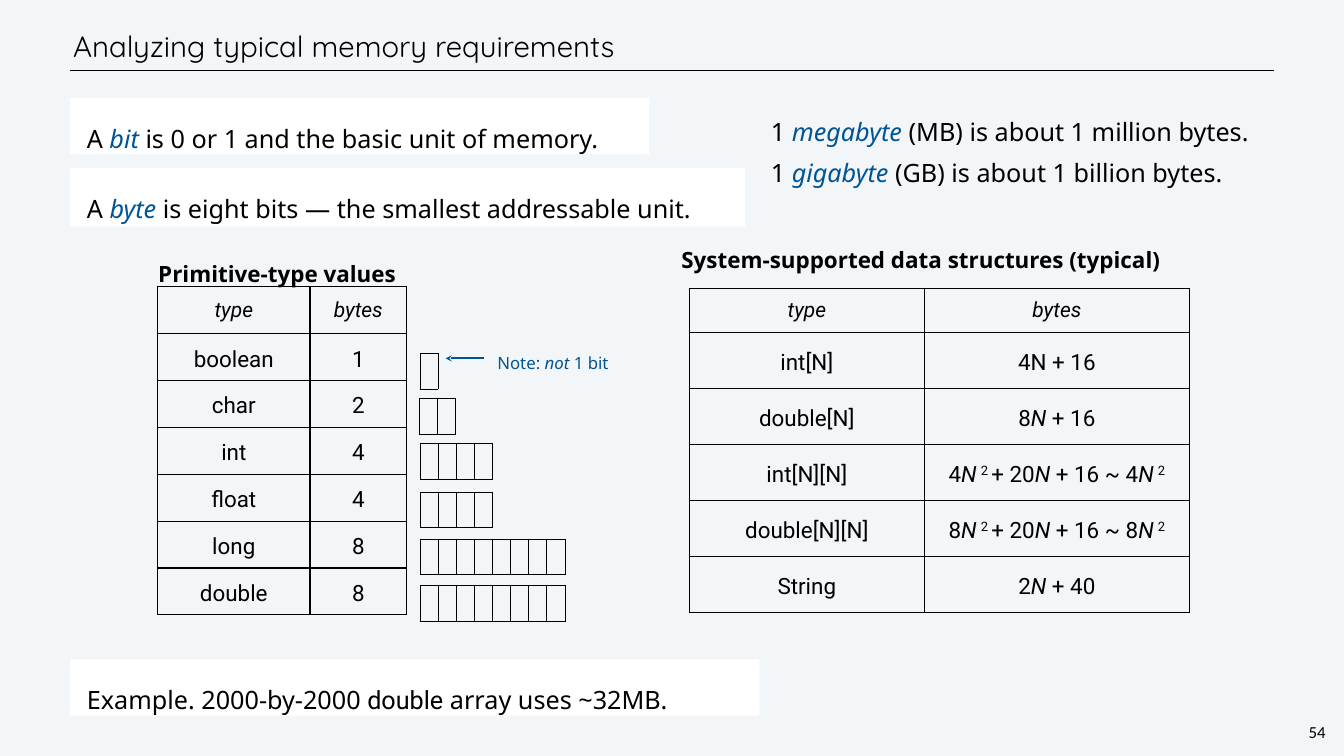
from dataclasses import dataclass
from typing import Any

from lxml import etree
from pptx import Presentation
from pptx import util as u
from pptx.dml import color
from pptx.enum import shapes, text
from pptx.oxml import ns

BLACK, BLUE, WHITE, PALE = "000000", "005493", "FFFFFF", "F3F6F9"
CENTER, MIDDLE = text.PP_ALIGN.CENTER, text.MSO_ANCHOR.MIDDLE
MARKS = {"*": {"i": "1"}, "_": {"i": "1", "spc": "580"}, "^": {"baseline": "32000"}, "`": {}}
HEAD = {"size": 30, "font": "Roboto", "line": 36, "inset": 0.09, "align": CENTER, "anchor": MIDDLE}
CELL = {**HEAD, "size": 32, "line": 44, "inset": 0.12}
BODY = {"size": 36, "font": "Noto Sans", "line": 55, "inset": 1, "accent": BLUE}
CAPTION = {"size": 32, "font": "Noto Sans", "line": 50, "inset": 0.18, "bold": True}
TITLE = {"size": 42, "font": "Quicksand", "line": 50, "inset": 0.18, "anchor": MIDDLE}
NUMBER = {"size": 24, "font": "Calibri", "line": 28, "inset": 0.12, "align": CENTER, "wrap": False}
NOTE = {"size": 24, "font": "Noto Sans", "line": 31, "inset": 0.18, "align": CENTER,
        "wrap": False, "color": BLUE, "accent": BLUE}


def rgb(value):
    """Return the colour for a hex string."""
    return color.RGBColor.from_string(value)


def assign(obj, values):
    """Set every attribute in a dict of format values."""
    for name, value in values.items():
        setattr(obj, name, value)


@dataclass
class Deck:
    """Draws elements on a slide divided into 80 columns and 45 rows."""
    prs: Any
    s: Any = None

    def add_slide(self, background):
        """Start a blank slide with a plain background."""
        self.s = self.prs.slides.add_slide(self.prs.slide_layouts[6])
        self.s.background.fill.solid()
        self.s.background.fill.fore_color.rgb = rgb(background)

    def grid(self, *cells):
        """Convert grid units to lengths."""
        return [u.Emu(round(c * self.prs.slide_width / 80)) for c in cells]

    def margins(self, inset):
        """Return four equal margins as format values."""
        return {f"margin_{side}": self.grid(inset)[0] for side in ("left", "top", "right", "bottom")}

    def add_runs(self, p, content, style):
        """Add runs split at bars, each with an optional leading mark."""
        assign(p, {"alignment": style.get("align"), "line_spacing": u.Pt(style["line"])})
        for part in content.split("|"):
            mark = part[0] if part[0] in MARKS else ""
            r = p.add_run()
            r.text = part[len(mark):]
            assign(r.font, {"size": u.Pt(style["size"]), "bold": style.get("bold"),
                            "name": "Roboto" if mark == "`" else style["font"]})
            tint = style.get("accent") if mark == "*" else None
            r.font.color.rgb = rgb(tint or style.get("color", BLACK))
            for name, value in MARKS.get(mark, {}).items():
                r.font._rPr.set(name, value)

    def text(self, at, content, style, fill=None):
        """Add a line of text, on a filled rectangle if a fill is given."""
        if fill:
            sp = self.s.shapes.add_shape(shapes.MSO_SHAPE.RECTANGLE, *self.grid(*at))
            sp.shadow.inherit = False
            sp.fill.solid()
            sp.fill.fore_color.rgb = rgb(fill)
            sp.line.fill.background()
        else:
            sp = self.s.shapes.add_textbox(*self.grid(*at))
        tf = sp.text_frame
        assign(tf, {"word_wrap": style.get("wrap", True), **self.margins(style["inset"]),
                    "vertical_anchor": style.get("anchor", text.MSO_ANCHOR.TOP)})
        self.add_runs(tf.paragraphs[0], content, {"align": text.PP_ALIGN.LEFT, **style})

    def border(self, cell, weight):
        """Clear a cell's fill and rule its four sides."""
        cell.fill.background()
        pr = cell._tc.get_or_add_tcPr()
        for i, side in enumerate(("lnL", "lnR", "lnT", "lnB")):
            ln = etree.Element(ns.qn(f"a:{side}"), w=str(int(u.Pt(weight))))
            solid = etree.SubElement(ln, ns.qn("a:solidFill"))
            etree.SubElement(solid, ns.qn("a:srgbClr"), val=BLACK)
            pr.insert(i, ln)

    def table(self, x, y, widths, heights, rows=None, weight=2):
        """Add a ruled table whose first row is a heading."""
        size = self.grid(x, y, sum(widths), sum(heights))
        t = self.s.shapes.add_table(len(heights), len(widths), *size).table
        assign(t, {"first_row": False, "horz_banding": False})
        for col, width in zip(t.columns, self.grid(*widths)):
            col.width = width
        for row, height in zip(t.rows, self.grid(*heights)):
            row.height = height
        for cell in t.iter_cells():
            self.border(cell, weight)
        for i, row in enumerate(rows or []):
            style = CELL if i else HEAD
            for cell, content in zip(t.rows[i].cells, row):
                assign(cell, {"vertical_anchor": MIDDLE, **self.margins(style["inset"])})
                self.add_runs(cell.text_frame.paragraphs[0], content, style)

    def line(self, ends, tint, weight, head=None):
        """Add a straight line with an optional arrowhead at its start."""
        c = self.s.shapes.add_connector(shapes.MSO_CONNECTOR.STRAIGHT, *self.grid(*ends))
        c.line.color.rgb = rgb(tint)
        c.line.width = u.Pt(weight)
        if head:
            etree.SubElement(c.line._get_or_add_ln(), ns.qn("a:headEnd"), type=head)
        etree.SubElement(c._element.spPr, ns.qn("a:effectLst"))


def main():
    """Build the memory requirements slide."""
    prs = Presentation()
    assign(prs, {"slide_width": u.Inches(26.67), "slide_height": u.Inches(15)})
    d = Deck(prs)
    d.add_slide(PALE)
    left = 4.17
    d.line((left, 4.2, 75.84, 4.2), BLACK, 1)
    d.text((left, 1.26, 67.86, 2.97), "Analyzing typical memory requirements", TITLE)
    d.text((77.76, 42.87, 1.29, 1.41), "54", NUMBER)

    for y, w, h, content in (
            (5.82, 34.47, 3.36, "A |*bit| is 0 or 1 and the basic unit of memory."),
            (9.99, 40.17, 3.48, "A |*byte| is eight bits — the smallest addressable unit."),
            (39.24, 41.04, 3.36, "Example. 2000-by-2000 |`double| array uses ~32MB.")):
        d.text((left, y, w, h), content, BODY, WHITE)
    for y, h, content in ((5.43, 3.36, "1 |*megabyte| (MB) is about 1 million bytes."),
                          (7.86, 3.72, "1 |*gigabyte| (GB) is about 1 billion bytes.")):
        d.text((44.88, y, 32.43, h), content, BODY)

    primitives = [("*type", "*bytes"), ("boolean", "1"), ("char", "2"), ("int", "4"),
                  ("float", "4"), ("long", "8"), ("double", "8")]
    d.table(9.39, 17.07, (9.06, 5.76), [2.79] * 7, primitives)
    d.text((9.24, 14.82, 23.97, 1.92), "Primitive-type values", CAPTION)

    square = "{0}|_N|^2 |+ 20|*N |+ 16 ~ {0}|_N|^2"
    structures = [("*type", "*bytes"), ("int[N]", "4N + 16"), ("double[N]", "8|*N |+ 16"),
                  ("int[N][N]", square.format(4)), ("double[N][N]", square.format(8)),
                  ("String", "2|*N |+ 40")]
    d.table(41.04, 17.16, (13.98, 15.78), [2.64] + [3.33] * 5, structures)
    d.text((40.38, 14.01, 33.93, 1.92), "System-supported data structures (typical)", CAPTION)

    byte = 1.08
    for x, y, count in ((24.99, 21.03, 1), (24.96, 23.7, 1), (26.04, 23.7, 1), (24.99, 26.37, 4),
                        (24.99, 29.28, 4), (24.99, 32.07, 8), (24.99, 34.86, 8)):
        d.table(x, y, [byte] * count, [2.13], weight=1)
    d.line((26.52, 21.33, 28.8, 21.33), BLUE, 3, "stealth")
    d.text((29.07, 20.7, 7.68, 1.5), "Note: |*not| 1 bit", NOTE)
    prs.save("out.pptx")


if __name__ == "__main__":
    main()
